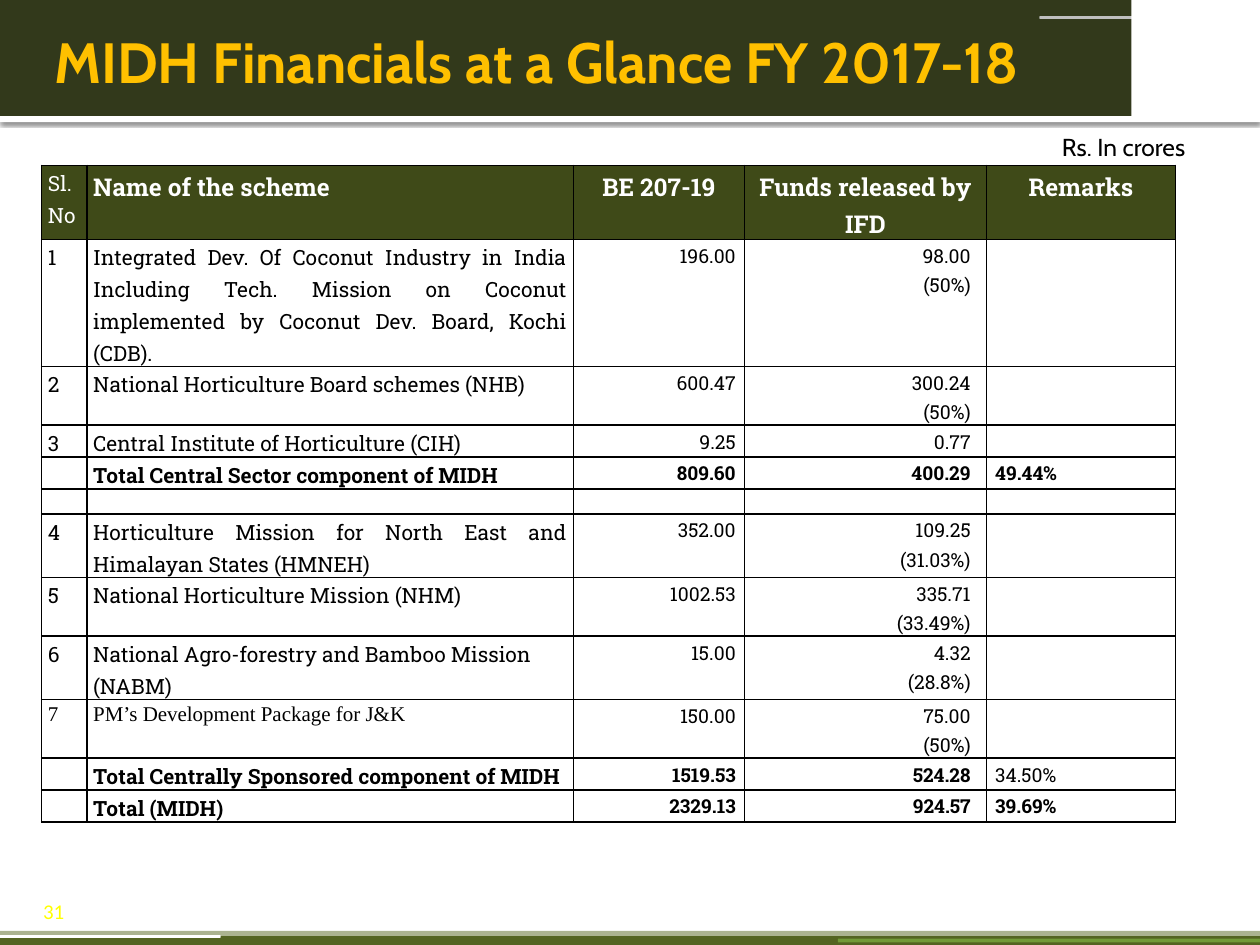
from dataclasses import dataclass

import pptx
import pptx.dml.color
import pptx.enum.shapes
import pptx.enum.text
import pptx.oxml
import pptx.oxml.ns
import pptx.util
from lxml import etree

Pt = pptx.util.Pt
Align = pptx.enum.text.PP_ALIGN
Anchor = pptx.enum.text.MSO_ANCHOR
Preset = pptx.enum.shapes.MSO_SHAPE
qn = pptx.oxml.ns.qn


@dataclass(frozen=True)
class Theme:
    dark: str = "32391B"
    header: str = "3F4A18"
    olive: str = "546422"
    moss: str = "596922"
    leaf: str = "92D050"
    grey: str = "BFBFBF"
    white: str = "FFFFFF"
    black: str = "000000"
    gold: str = "FFC000"
    yellow: str = "FFFF00"
    display: str = "Cabin"
    body: str = "Roboto Slab"
    serif: str = "Times New Roman"
    footer: str = "Calibri"
    title_size: float = 32.4
    head_size: float = 14
    text_size: float = 12
    figure_size: float = 11
    blank_size: float = 10


THEME = Theme()


@dataclass(frozen=True)
class Band:
    left: float
    top: float
    width: float
    height: float
    color: str
    rounded: bool = False
    opacity: int = 100
    shadow: bool = False


@dataclass(frozen=True)
class Scheme:
    height: float
    number: str = ""
    name: str = ""
    budget: str = ""
    funds: str = ""
    remark: str = ""
    total: bool = False
    justified: bool = False
    font: str = THEME.body
    remark_bold: bool = True


@dataclass(frozen=True)
class Style:
    size: float
    color: str = THEME.black
    font: str = THEME.body
    bold: bool = False
    align: Align = Align.LEFT
    spacing: float = 1.15


BANDS = [
    Band(0, 66.24, 720, 3.6, THEME.white, shadow=True),
    Band(0, 0, 720, 66.24, THEME.dark),
    Band(0, 534.96, 720, 5.04, THEME.olive),
    Band(478.8, 536.4, 241.2, 2.16, THEME.leaf, rounded=True, opacity=50),
    Band(594, 9.2, 126, 1.5, THEME.grey, rounded=True),
    Band(0, 532, 720, 2.9, THEME.moss, opacity=50),
    Band(646.56, 0, 73.44, 66.6, THEME.white),
    Band(0, 534.4, 126, 1.5, THEME.white, rounded=True),
]

HEADINGS = ["Sl.\nNo", "Name of the scheme", "BE 207-19", "Funds released by IFD", "Remarks"]
HEADING_HEIGHT = 42.5
COLUMN_WIDTHS = [25.92, 277.92, 97.92, 138.24, 108]
SCHEMES = [
    Scheme(72.5, "1", "Integrated Dev. Of Coconut Industry in India Including Tech. Mission on Coconut "
           "implemented by Coconut Dev. Board, Kochi (CDB).", "196.00", "98.00\n(50%)", justified=True),
    Scheme(33.5, "2", "National Horticulture Board schemes (NHB)", "600.47", "300.24\n(50%)"),
    Scheme(18.2, "3", "Central Institute of Horticulture (CIH)", "9.25", "0.77"),
    Scheme(18.2, "", "Total Central Sector component of MIDH", "809.60", "400.29", "49.44%", total=True),
    Scheme(14.4),
    Scheme(36.3, "4", "Horticulture Mission for North East and Himalayan States (HMNEH)",
           "352.00", "109.25\n(31.03%)", justified=True),
    Scheme(33.5, "5", "National Horticulture Mission (NHM)", "1002.53", "335.71\n(33.49%)"),
    Scheme(36.3, "6", "National Agro-forestry and Bamboo Mission (NABM)", "15.00", "4.32\n(28.8%)"),
    Scheme(33.5, "7", "PM’s Development Package for J&K", "150.00", "75.00\n(50%)", font=THEME.serif),
    Scheme(18.2, "", "Total Centrally Sponsored component of MIDH", "1519.53", "524.28", "34.50%",
           total=True, remark_bold=False),
    Scheme(18.2, "", "Total (MIDH)", "2329.13", "924.57", "39.69%", total=True),
]


def rgb(color: str) -> pptx.dml.color.RGBColor:
    return pptx.dml.color.RGBColor.from_string(color)


def write(frame, text: str, style: Style) -> None:
    frame.text = text
    for paragraph in frame.paragraphs:
        paragraph.alignment = style.align
        paragraph.line_spacing = style.spacing
        paragraph.font.size = Pt(style.size)
        paragraph.font.name = style.font
        paragraph.font.bold = style.bold
        paragraph.font.color.rgb = rgb(style.color)


def set_insets(frame, left: float, top: float, right: float, bottom: float) -> None:
    frame.margin_left, frame.margin_top = Pt(left), Pt(top)
    frame.margin_right, frame.margin_bottom = Pt(right), Pt(bottom)


def draw_band(slide, band: Band) -> None:
    preset = Preset.ROUNDED_RECTANGLE if band.rounded else Preset.RECTANGLE
    shape = slide.shapes.add_shape(preset, Pt(band.left), Pt(band.top), Pt(band.width), Pt(band.height))
    shape.shadow.inherit = False
    shape.fill.solid()
    shape.fill.fore_color.rgb = rgb(band.color)
    shape.line.fill.background()
    properties = shape._element.spPr
    if band.opacity < 100:
        color = properties.find(qn("a:solidFill")).find(qn("a:srgbClr"))
        etree.SubElement(color, qn("a:alpha"), val=str(band.opacity * 1000))
    if band.shadow:
        outer = etree.SubElement(properties.find(qn("a:effectLst")), qn("a:outerShdw"),
                                 blurRad=str(Pt(2.5)), dist=str(Pt(0.8)), dir="5400000")
        color = etree.SubElement(outer, qn("a:srgbClr"), val=THEME.black)
        etree.SubElement(color, qn("a:alpha"), val="60000")


def outline_cell(cell) -> None:
    properties = cell._tc.get_or_add_tcPr()
    for position, side in enumerate(("a:lnL", "a:lnR", "a:lnT", "a:lnB")):
        line = etree.Element(qn(side), w=str(Pt(1)))
        fill = etree.SubElement(line, qn("a:solidFill"))
        etree.SubElement(fill, qn("a:srgbClr"), val=THEME.black)
        properties.insert(position, line)


def fill_cell(cell, text: str, style: Style, left: float, right: float, fill: str = "") -> None:
    set_insets(cell, left, 0, right, 0)
    if text:
        write(cell.text_frame, text, style)
    else:
        write(cell.text_frame, "", Style(THEME.blank_size, spacing=1))
        etree.SubElement(cell.text_frame.paragraphs[0]._p, qn("a:endParaRPr"),
                         sz=str(int(THEME.blank_size * 100)))
    if fill:
        cell.fill.solid()
        cell.fill.fore_color.rgb = rgb(fill)
    else:
        cell.fill.background()
    outline_cell(cell)


def draw_table(slide) -> None:
    table = slide.shapes.add_table(len(SCHEMES) + 1, len(HEADINGS), Pt(23.76), Pt(94.5),
                                   Pt(sum(COLUMN_WIDTHS)), Pt(375)).table
    for column, width in zip(table.columns, COLUMN_WIDTHS):
        column.width = Pt(width)
    table.rows[0].height = Pt(HEADING_HEIGHT)
    for index, heading in enumerate(HEADINGS):
        style = Style(THEME.head_size if index else THEME.text_size, THEME.white, bold=index > 0,
                      align=Align.CENTER if index > 1 else Align.LEFT)
        fill_cell(table.cell(0, index), heading, style, 3.6, 3.6, THEME.header)
    for row, scheme in enumerate(SCHEMES, start=1):
        table.rows[row].height = Pt(scheme.height)
        name_align = Align.JUSTIFY if scheme.justified else Align.LEFT
        figure = Style(THEME.figure_size, bold=scheme.total, align=Align.RIGHT)
        cells = [
            (scheme.number, Style(THEME.text_size, font=scheme.font), 3.6, 3.6),
            (scheme.name, Style(THEME.text_size, font=scheme.font, bold=scheme.total, align=name_align), 3.6, 3.6),
            (scheme.budget, figure, 5, 5),
            (scheme.funds, figure, 5, 9),
            (scheme.remark, Style(THEME.figure_size, bold=scheme.remark_bold, align=Align.JUSTIFY), 5, 5),
        ]
        for index, (text, style, left, right) in enumerate(cells):
            fill_cell(table.cell(row, index), text, style, left, right)


def draw_title(slide) -> None:
    title = slide.shapes.title
    title.left, title.top, title.width, title.height = Pt(23.76), Pt(12.24), Pt(672), Pt(45.36)
    frame = title.text_frame
    frame.auto_size = pptx.enum.text.MSO_AUTO_SIZE.NONE
    frame.vertical_anchor = Anchor.MIDDLE
    set_insets(frame, 7.2, 3.6, 3.6, 3.6)
    write(frame, "MIDH Financials at a Glance FY 2017-18",
          Style(THEME.title_size, THEME.gold, THEME.display, bold=True, spacing=1))
    slide.shapes._spTree.append(title._element)


def main() -> None:
    deck = pptx.Presentation()
    deck.slide_width, deck.slide_height = Pt(720), Pt(540)
    slide = deck.slides.add_slide(deck.slide_layouts[5])
    for band in BANDS:
        draw_band(slide, band)
    page = slide.shapes.add_textbox(Pt(21.6), Pt(513.36), Pt(57.6), Pt(14.4)).text_frame
    page.vertical_anchor = Anchor.BOTTOM
    set_insets(page, 3, 0, 3, 0)
    page.word_wrap = True
    write(page, "31", Style(THEME.text_size, THEME.yellow, THEME.footer, spacing=1))
    draw_table(slide)
    draw_title(slide)
    unit = slide.shapes.add_textbox(Pt(599.76), Pt(72), Pt(94.32), Pt(24.48)).text_frame
    unit.word_wrap = True
    write(unit, "Rs. In crores", Style(THEME.head_size, font=THEME.display, spacing=1))
    deck.save("out.pptx")


if __name__ == "__main__":
    main()
